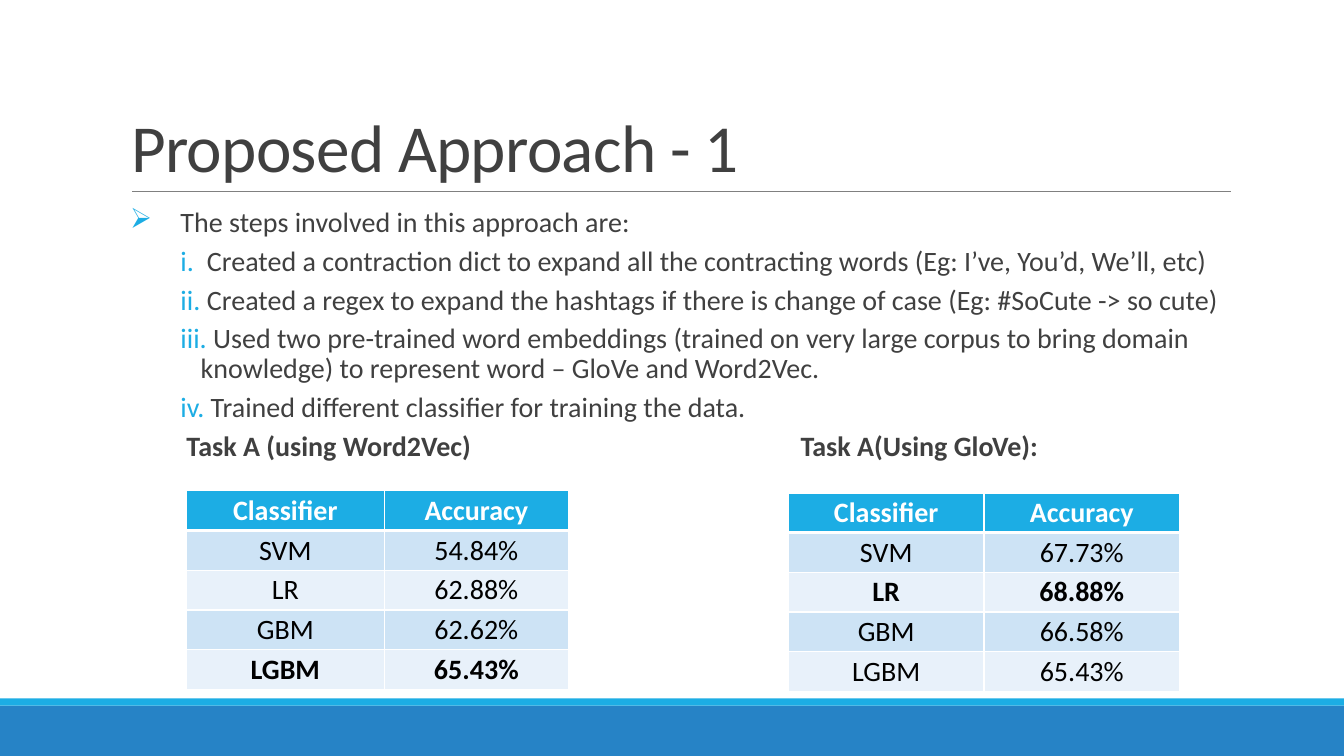
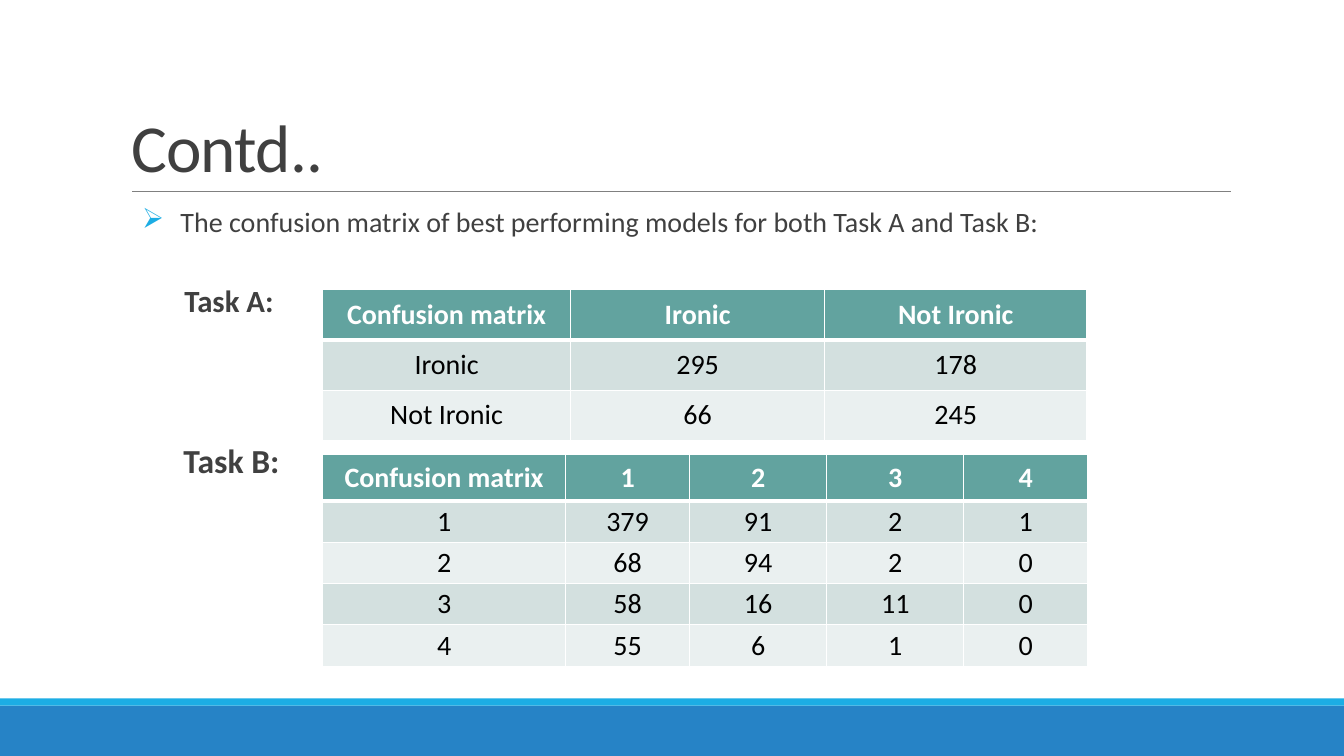
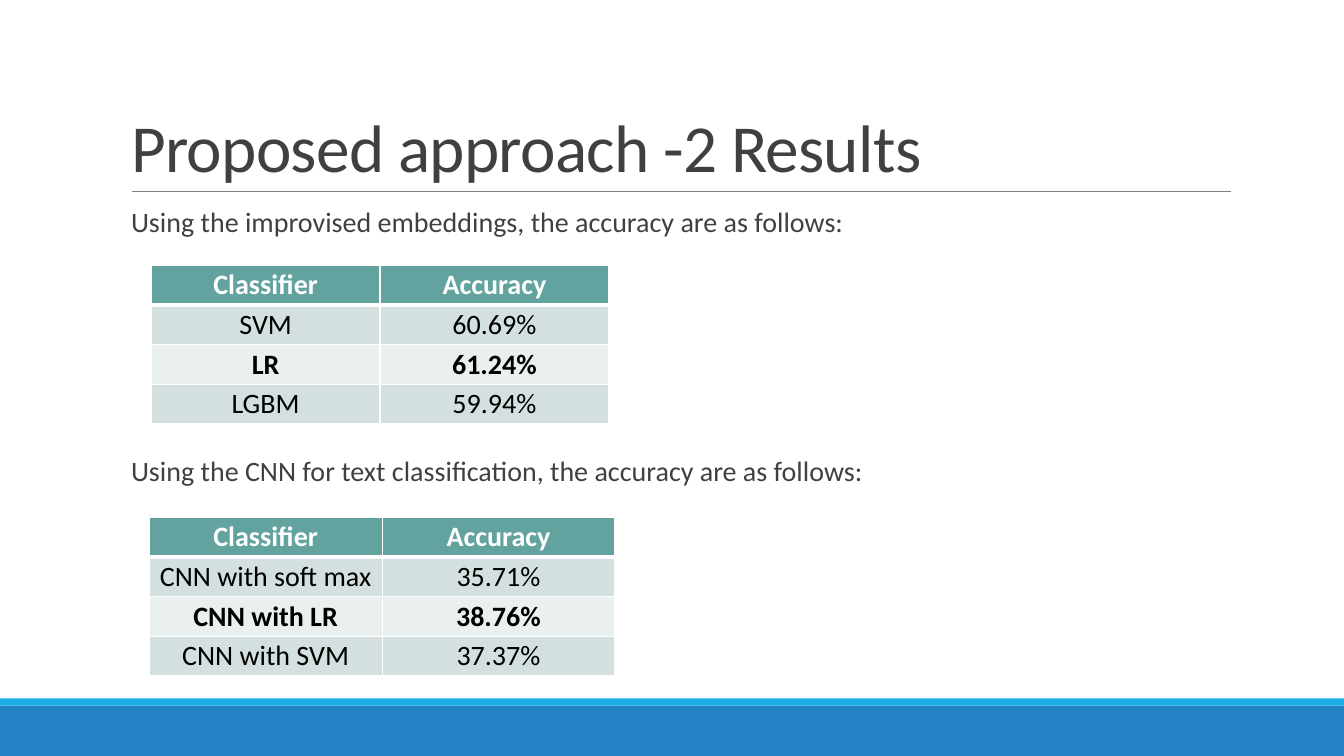
from lxml.etree import SubElement
from pptx import Presentation
from pptx.dml.color import RGBColor
from pptx.enum.shapes import MSO_CONNECTOR, MSO_SHAPE
from pptx.enum.text import MSO_ANCHOR, MSO_AUTO_SIZE, PP_ALIGN
from pptx.oxml.ns import qn
from pptx.util import Inches, Pt

FONT = "Calibri"
WHITE = RGBColor(0xFF, 0xFF, 0xFF)
BLACK = RGBColor(0, 0, 0)
INK = RGBColor(0x40, 0x40, 0x40)
RULE = RGBColor(0x80, 0x80, 0x80)
CYAN = RGBColor(0x1C, 0xAD, 0xE4)
BLUE = RGBColor(0x26, 0x83, 0xC6)
# Table palettes: header, odd rows, even rows
BLUES = (CYAN, RGBColor(0xCD, 0xE3, 0xF5), RGBColor(0xE8, 0xF1, 0xFA))
TEALS = (RGBColor(0x62, 0xA3, 0x9F), RGBColor(0xD3, 0xE0, 0xDF),
         RGBColor(0xEA, 0xF0, 0xF0))

# Bullet styles: tag, attributes, left indent, first-line indent
ARROW = ("a:buChar", {"char": "➢"}, 0.72, -0.5)
NEAR_ARROW = ("a:buChar", {"char": "➢"}, 0.59, -0.38)
ROMAN = ("a:buAutoNum", {"type": "romanLcPeriod"}, 0.92, -0.2)

# Content
# texts: left, top, width, height, size, bold, [(text, bullet)]
# tables: left, top, column widths, row heights, anchor, palette, best row, rows
SCORES = ("Classifier", "Accuracy")
SLIDES = [
    {"title": "Proposed Approach - 1", "title_width": 11.31,
     "texts": [
         (1.07, 2.02, 11.79, 2.2, 20, False, [
             ("The steps involved in this approach are:", ARROW),
             (" Created a contraction dict to expand all the contracting words "
              "(Eg: I’ve, You’d, We’ll, etc)", ROMAN),
             (" Created a regex to expand the hashtags if there is change of case "
              "(Eg: #SoCute -> so cute)", ROMAN),
             (" Used two pre-trained word embeddings (trained on very large corpus "
              "to bring domain knowledge) to represent word – GloVe and Word2Vec.",
              ROMAN),
             (" Trained different classifier for training the data.", ROMAN)]),
         (1.85, 4.24, 5, 0.4, 20, True, [("Task A (using Word2Vec)", None)]),
         (7.94, 4.24, 4, 0.4, 20, True, [("Task A(Using GloVe):", None)])],
     "tables": [
         (1.85, 4.87, [1.96, 1.83], [0.39] * 5, MSO_ANCHOR.BOTTOM, BLUES, 4,
          [SCORES, ("SVM", "54.84%"), ("LR", "62.88%"), ("GBM", "62.62%"),
           ("LGBM", "65.43%")]),
         (7.82, 4.89, [1.94] * 2, [0.39] * 5, MSO_ANCHOR.BOTTOM, BLUES, 2,
          [SCORES, ("SVM", "67.73%"), ("LR", "68.88%"), ("GBM", "66.58%"),
           ("LGBM", "65.43%")])]},
    {"title": "Contd..", "title_width": 11,
     "texts": [
         (1.2, 2.02, 11, 0.4, 20, False, [
             ("The confusion matrix of best performing models for both "
              "Task A and Task B:", NEAR_ARROW)]),
         (1.83, 2.79, 1.3, 0.45, 22, True, [("Task A:", None)]),
         (1.82, 4.36, 1.3, 0.45, 24, True, [("Task B:", None)])],
     "tables": [
         (3.2, 2.87, [2.46, 2.52, 2.6], [0.5] * 3, MSO_ANCHOR.MIDDLE, TEALS, None,
          [("Confusion matrix", "Ironic", "Not Ironic"),
           ("Ironic", "295", "178"), ("Not Ironic", "66", "245")]),
         (3.2, 4.51, [2.41, 1.23, 1.36, 1.36, 1.23], [0.46] + [0.41] * 4,
          MSO_ANCHOR.MIDDLE, TEALS, None,
          [("Confusion matrix", "1", "2", "3", "4"),
           ("1", "379", "91", "2", "1"), ("2", "68", "94", "2", "0"),
           ("3", "58", "16", "11", "0"), ("4", "55", "6", "1", "0")])]},
    {"title": "Proposed approach -2 Results", "title_width": 11,
     "texts": [
         (1.3, 2.02, 10.9, 0.4, 20, False, [
             ("Using the improvised embeddings, the accuracy are as follows:",
              None)]),
         (1.3, 4.49, 10.9, 0.4, 20, False, [
             ("Using the CNN for text classification, the accuracy are as follows:",
              None)])],
     "tables": [
         (1.5, 2.63, [2.27] * 2, [0.39] * 4, MSO_ANCHOR.BOTTOM, TEALS, 2,
          [SCORES, ("SVM", "60.69%"), ("LR", "61.24%"), ("LGBM", "59.94%")]),
         (1.48, 5.13, [2.31] * 2, [0.39] * 4, MSO_ANCHOR.BOTTOM, TEALS, 2,
          [SCORES, ("CNN with soft max", "35.71%"), ("CNN with LR", "38.76%"),
           ("CNN with SVM", "37.37%")])]},
]


def add_run(p, text, size, color, bold=False):
    r = p.add_run()
    r.text = text
    r.font.name, r.font.size, r.font.bold = FONT, Pt(size), bold
    r.font.color.rgb = color
    return r


def add_frame(s, title, title_width):
    """Footer bands, title and the rule below it."""
    for top, height, color in ((7, 0.5, BLUE), (6.93, 0.07, CYAN)):
        sp = s.shapes.add_shape(MSO_SHAPE.RECTANGLE, 0, Inches(top),
                                prs.slide_width, Inches(height))
        sp.shadow.inherit = False
        sp.fill.solid()
        sp.fill.fore_color.rgb = color
        sp.line.fill.background()
    rule = s.shapes.add_connector(MSO_CONNECTOR.STRAIGHT, Inches(1.31), Inches(1.9),
                                  Inches(12.21), Inches(1.9))
    rule.line.color.rgb, rule.line.width = RULE, Pt(0.5)
    SubElement(rule.element.spPr, qn("a:effectLst"))

    sp = s.shapes.title
    sp.left, sp.top = Inches(1.2), Inches(0.31)
    sp.width, sp.height = Inches(title_width), Inches(1.59)
    tf = sp.text_frame
    tf.auto_size, tf.vertical_anchor = MSO_AUTO_SIZE.NONE, MSO_ANCHOR.BOTTOM
    p = tf.paragraphs[0]
    p.alignment, p.line_spacing = PP_ALIGN.LEFT, 0.85
    r = add_run(p, title, 48, INK)
    r.font.element.set("spc", "-50") if hasattr(r.font, "element") else \
        r._r.get_or_add_rPr().set("spc", "-50")


def set_bullet(p, bullet):
    tag, attributes, left, first = bullet
    pPr = p._p.get_or_add_pPr()
    pPr.set("marL", str(Inches(left)))
    pPr.set("indent", str(Inches(first)))
    SubElement(SubElement(pPr, qn("a:buClr")), qn("a:srgbClr"), val=str(CYAN))
    SubElement(pPr, qn(tag), attributes)


def add_text(s, left, top, width, height, size, bold, paragraphs):
    tf = s.shapes.add_textbox(Inches(left), Inches(top), Inches(width),
                              Inches(height)).text_frame
    tf.word_wrap = True
    tf.margin_left = tf.margin_right = 0
    for i, (text, bullet) in enumerate(paragraphs):
        p = tf.add_paragraph() if i else tf.paragraphs[0]
        p.line_spacing, p.space_after = 0.9, Pt(4)
        p.space_before = Pt(2 if i else 0)
        if bullet:
            set_bullet(p, bullet)
        add_run(p, text, size, INK, bold)


def set_borders(cell, top, bottom):
    tcPr = cell._tc.get_or_add_tcPr()
    for tag, width in (("a:lnL", 1), ("a:lnR", 1), ("a:lnT", top), ("a:lnB", bottom)):
        ln = SubElement(tcPr, qn(tag), w=str(Pt(width)))
        SubElement(SubElement(ln, qn("a:solidFill")), qn("a:srgbClr"), val=str(WHITE))


def add_table(s, left, top, widths, heights, anchor, palette, best, rows):
    table = s.shapes.add_table(len(rows), len(widths), Inches(left), Inches(top),
                               Inches(sum(widths)), Inches(sum(heights))).table
    table.horz_banding = False
    for column, width in zip(table.columns, widths):
        column.width = Inches(width)
    for i, values in enumerate(rows):
        table.rows[i].height = Inches(heights[i])
        fill = palette[0] if i == 0 else palette[1 + (i - 1) % 2]
        for j, value in enumerate(values):
            cell = table.cell(i, j)
            cell.margin_left = cell.margin_right = Inches(0.03)
            cell.margin_top = cell.margin_bottom = Inches(0.03)
            cell.vertical_anchor = anchor
            # A thick line parts the header from the body
            set_borders(cell, 3 if i == 1 else 1, 3 if i == 0 else 1)
            cell.fill.solid()
            cell.fill.fore_color.rgb = fill
            p = cell.text_frame.paragraphs[0]
            p.alignment = PP_ALIGN.CENTER
            add_run(p, value, 20, BLACK if i else WHITE, i in (0, best))


# Build the slides
prs = Presentation()
prs.slide_width, prs.slide_height = Inches(13.33), Inches(7.5)
for content in SLIDES:
    s = prs.slides.add_slide(prs.slide_layouts[5])
    add_frame(s, content["title"], content["title_width"])
    for text in content["texts"]:
        add_text(s, *text)
    for table in content["tables"]:
        add_table(s, *table)
prs.save("out.pptx")
